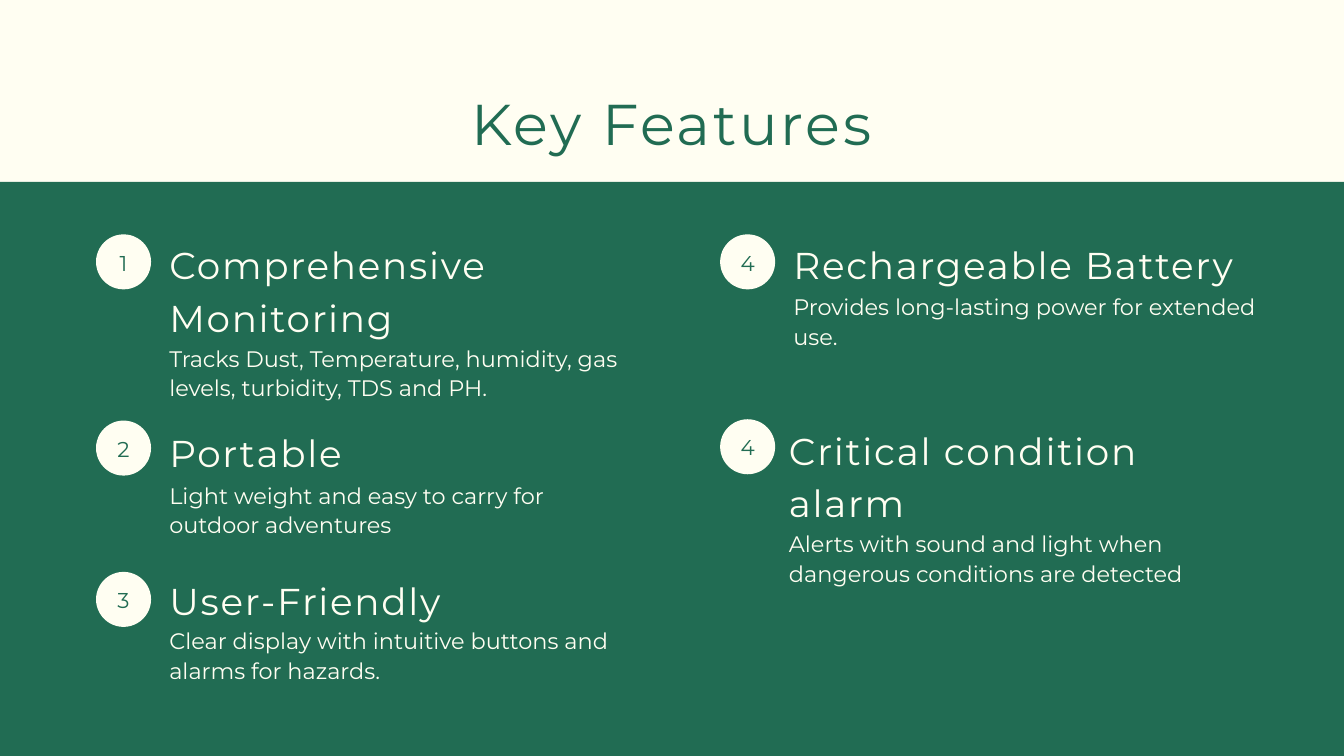
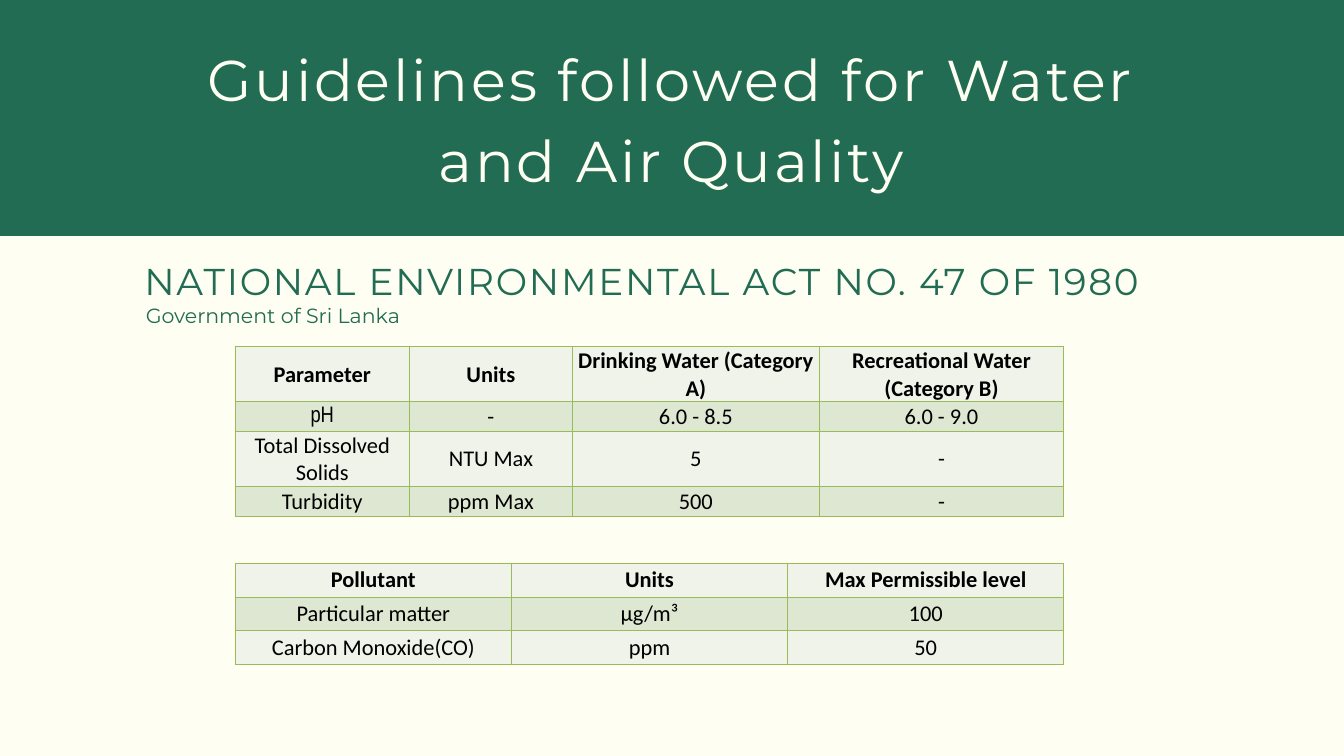
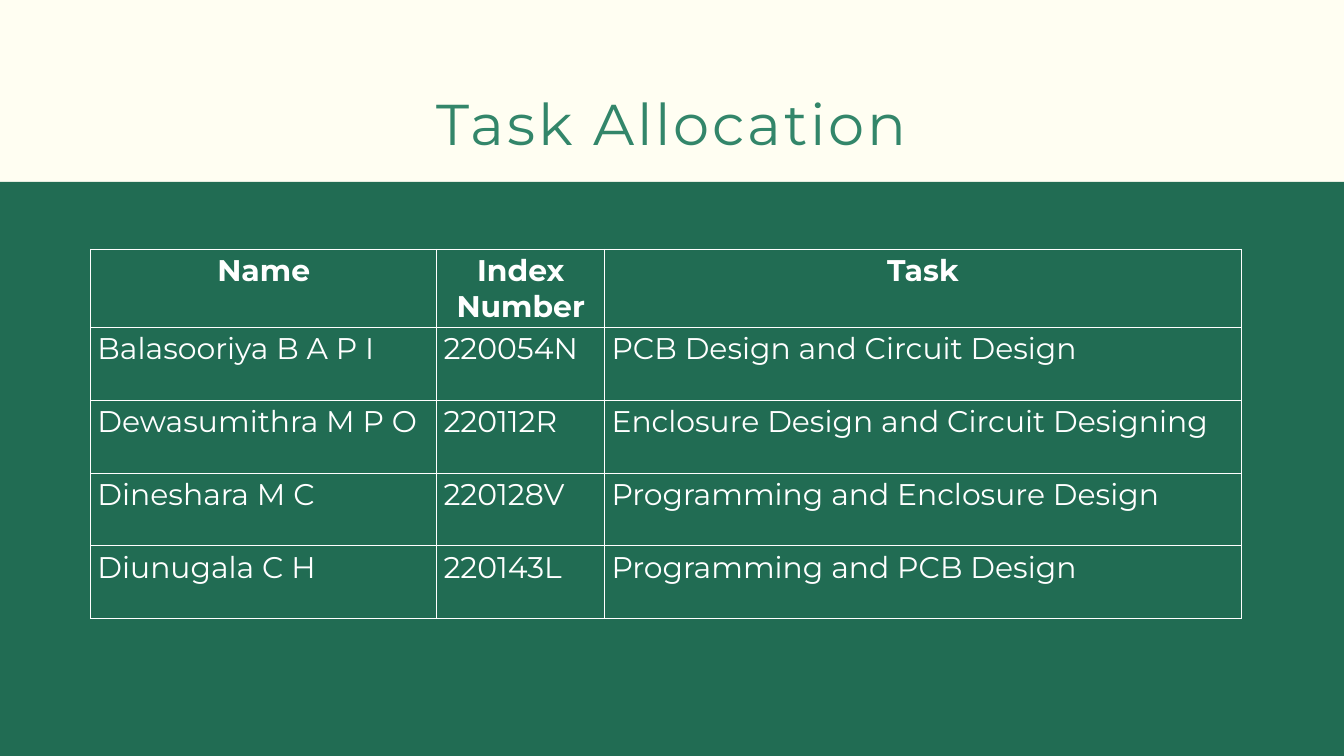
from lxml.etree import SubElement
from pptx import Presentation
from pptx.dml.color import RGBColor
from pptx.enum.shapes import MSO_SHAPE
from pptx.enum.text import MSO_ANCHOR, MSO_AUTO_SIZE, PP_ALIGN
from pptx.oxml.ns import qn
from pptx.util import Cm, Pt

GREEN = RGBColor(0x21, 0x6C, 0x53)
LIGHT_GREEN = RGBColor(0x33, 0x86, 0x6A)
CREAM = RGBColor(0xFF, 0xFE, 0xF2)
WHITE = RGBColor(0xFF, 0xFF, 0xFF)
BLACK = RGBColor(0x00, 0x00, 0x00)
GRID_GREEN = RGBColor(0x9B, 0xBB, 0x59)
PALE_ROW = RGBColor(0xEF, 0xF3, 0xEA)
TINTED_ROW = RGBColor(0xDE, 0xE7, 0xD1)

FONT = "Montserrat"
PAGE_WIDTH, PAGE_HEIGHT = 50.8, 28.58
BAND_TOP = 6.88
BADGE_SIZE = 2.08

# Column left, then tops of badge, heading and body, gap to the text
FEATURES = [
    (3.63, 8.86, 8.89, 12.93, 2.77, "1", "Comprehensive Monitoring",
     "Tracks Dust, Temperature, humidity, gas levels, turbidity, TDS and PH."),
    (3.63, 15.9, 15.98, 18.11, 2.77, "2", "Portable",
     "Light weight and easy to carry for outdoor adventures"),
    (3.63, 21.62, 21.56, 23.62, 2.77, "3", "User-Friendly",
     "Clear display with intuitive buttons and alarms for hazards."),
    (27.22, 8.86, 8.89, 10.97, 2.77, "4", "Rechargeable Battery",
     "Provides long-lasting power for extended use."),
    (27.22, 15.85, 15.9, 19.94, 2.6, "4", "Critical condition alarm",
     "Alerts with sound and light when dangerous conditions are detected"),
]
WATER_LIMITS = [
    ["Parameter", "Units", "Drinking Water (Category A)", "Recreational Water (Category B)"],
    ["pH", "-", "6.0 - 8.5", "6.0 - 9.0"],
    ["Total Dissolved Solids", "NTU Max", "5", "-"],
    ["Turbidity", "ppm Max", "500", "-"],
]
AIR_LIMITS = [
    ["Pollutant", "Units", "Max Permissible level"],
    ["Particular matter", "µg/m³", "100"],
    ["Carbon Monoxide(CO)", "ppm", "50"],
]
TASKS = [
    ["Name", "Index Number", "Task"],
    ["Balasooriya B A P I", "220054N", "PCB Design and Circuit Design"],
    ["Dewasumithra M P O", "220112R", "Enclosure Design and Circuit Designing"],
    ["Dineshara M C", "220128V", "Programming and Enclosure Design"],
    ["Diunugala C H", "220143L", "Programming and PCB Design"],
]


def write(frame, text, size=24, color=CREAM, font=FONT, bold=False,
          align=PP_ALIGN.LEFT, line=None, tracking=0):
    """Put one formatted paragraph into a text frame."""
    frame.word_wrap = True
    para = frame.paragraphs[0]
    para.alignment = align
    if line:
        para.line_spacing = Pt(line)
    span = para.add_run()
    span.text = text
    span.font.size = Pt(size)
    span.font.name = font
    span.font.bold = bold
    span.font.color.rgb = color
    if tracking:
        span.font._element.set("spc", str(round(tracking * 100)))


def set_margins(item, left=0, top=0, right=0, bottom=0):
    item.margin_left, item.margin_top = Cm(left), Cm(top)
    item.margin_right, item.margin_bottom = Cm(right), Cm(bottom)


def add_text(page, box, text, **style):
    frame = page.shapes.add_textbox(*map(Cm, box)).text_frame
    set_margins(frame)
    frame.auto_size = MSO_AUTO_SIZE.SHAPE_TO_FIT_TEXT
    write(frame, text, **style)


def add_title(page, box, text, color):
    add_text(page, box, text, size=61.6, color=color, line=86.2,
             tracking=3, align=PP_ALIGN.CENTER)


def add_heading(page, box, text, color=CREAM):
    add_text(page, box, text, size=40, color=color, line=56, tracking=1.9)


def add_plain_shape(page, kind, box, color):
    shape = page.shapes.add_shape(kind, *map(Cm, box))
    shape.shadow.inherit = False
    shape.fill.solid()
    shape.fill.fore_color.rgb = color
    shape.line.fill.background()
    return shape


def add_page(deck, band_top, band_height):
    """Cream page with a full-width green band."""
    page = deck.slides.add_slide(deck.slide_layouts[6])
    page.background.fill.solid()
    page.background.fill.fore_color.rgb = CREAM
    add_plain_shape(page, MSO_SHAPE.RECTANGLE, (0, band_top, PAGE_WIDTH, band_height), GREEN)
    return page


def add_titled_page(deck, title, color):
    page = add_page(deck, BAND_TOP, PAGE_HEIGHT - BAND_TOP)
    add_title(page, (11.1, 2.9, 28.58, 2.92), title, color)
    return page


def add_feature(page, left, badge_top, heading_top, body_top, gap, number, heading, body):
    badge = add_plain_shape(page, MSO_SHAPE.OVAL,
                            (left, badge_top, BADGE_SIZE, BADGE_SIZE), CREAM)
    frame = badge.text_frame
    set_margins(frame, bottom=0.12)
    frame.vertical_anchor = MSO_ANCHOR.MIDDLE
    write(frame, number, size=23, color=GREEN, line=32.2, align=PP_ALIGN.CENTER)
    text_left = left + gap
    add_text(page, (text_left, body_top, 17.5, 2.21), body, line=31.8)
    add_heading(page, (text_left, heading_top, 17.88, 1.85), heading)


def set_borders(cell, color):
    properties = cell._tc.get_or_add_tcPr()
    for side in ("a:lnL", "a:lnR", "a:lnT", "a:lnB"):
        line = SubElement(properties, qn(side), w=str(Pt(1)))
        fill = SubElement(line, qn("a:solidFill"))
        SubElement(fill, qn("a:srgbClr"), val=str(color))


def add_grid(page, left, top, widths, heights, rows, border, fills=None,
             body_align=PP_ALIGN.CENTER, margin=None, anchor=MSO_ANCHOR.TOP,
             special_fonts=None, **style):
    """Table with a bold header; row fills alternate through fills."""
    table = page.shapes.add_table(len(rows), len(widths), Cm(left), Cm(top),
                                  Cm(sum(widths)), Cm(sum(heights))).table
    table.first_row = table.horz_banding = False
    for column, width in zip(table.columns, widths):
        column.width = Cm(width)
    for index, (row, height, texts) in enumerate(zip(table.rows, heights, rows)):
        row.height = Cm(height)
        header = index == 0
        for cell, text in zip(row.cells, texts):
            cell.vertical_anchor = anchor
            if margin is not None:
                set_margins(cell, margin, margin, margin)
            set_borders(cell, border)
            if fills:
                cell.fill.solid()
                cell.fill.fore_color.rgb = fills[index % len(fills)]
            else:
                cell.fill.background()
            look = dict(style)
            if special_fonts and text in special_fonts:
                look["font"] = special_fonts[text]
            write(cell.text_frame, text, bold=header,
                  align=PP_ALIGN.CENTER if header else body_align, **look)


def build_features(deck):
    page = add_titled_page(deck, "Key Features", GREEN)
    for feature in FEATURES:
        add_feature(page, *feature)


def build_guidelines(deck):
    page = add_page(deck, 0, 8.92)
    add_title(page, (6.83, 1.24, 37.11, 5.89),
              "Guidelines followed for Water and Air Quality", CREAM)
    # Name of the act and its issuer
    add_heading(page, (5.46, 9.47, 39.9, 1.85),
                "NATIONAL ENVIRONMENTAL ACT NO. 47 OF 1980", GREEN)
    add_text(page, (5.51, 11.15, 11.84, 1.12), "Government of Sri Lanka",
             size=22, color=GREEN, line=34.9)
    # Limits for water, then for air
    look = dict(border=GRID_GREEN, fills=(PALE_ROW, TINTED_ROW), color=BLACK, font="Calibri")
    add_grid(page, 8.89, 13.11, (6.58, 6.17, 9.32, 9.25), (2.03, 1.14, 2.03, 1.14),
             WATER_LIMITS, margin=0.03, anchor=MSO_ANCHOR.MIDDLE,
             special_fonts={"pH": "Arial Narrow"}, **look)
    add_grid(page, 8.89, 21.29, [10.44] * 3, [1.28] * 3, AIR_LIMITS, **look)


def build_tasks(deck):
    page = add_titled_page(deck, "Task Allocation", LIGHT_GREEN)
    add_grid(page, 3.43, 9.42, (13.08, 6.35, 24.05), [2.95] + [2.75] * 4, TASKS,
             border=WHITE, body_align=PP_ALIGN.LEFT, size=32, color=WHITE)


def main():
    deck = Presentation()
    deck.slide_width, deck.slide_height = Cm(PAGE_WIDTH), Cm(PAGE_HEIGHT)
    build_features(deck)
    build_guidelines(deck)
    build_tasks(deck)
    deck.save("out.pptx")


if __name__ == "__main__":
    main()
